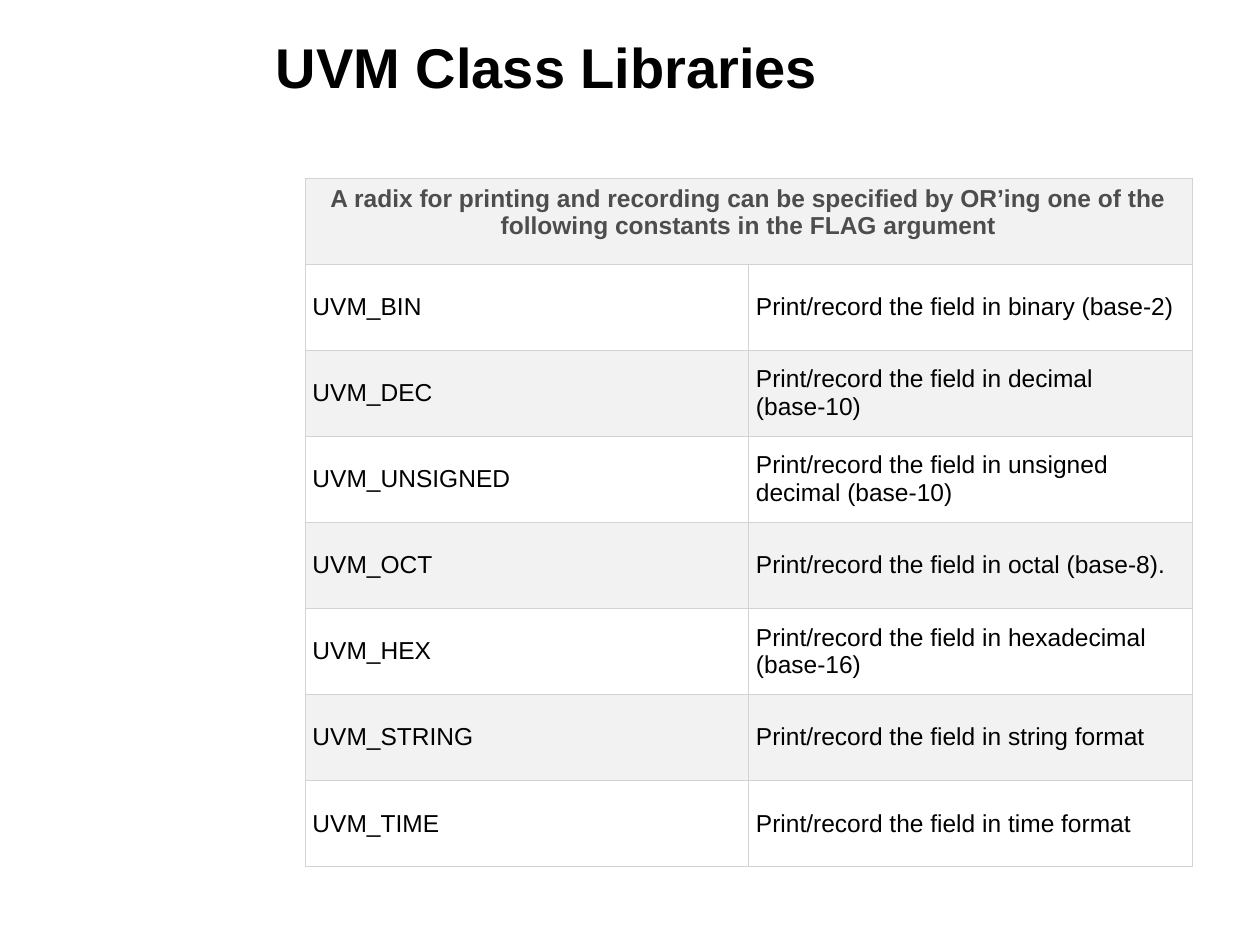
import pptx
import pptx.util
import pptx.dml.color
import pptx.enum.text
import lxml.etree
from pptx.oxml.ns import qn


def colour(value):
    return pptx.dml.color.RGBColor.from_string(value)


def style(para, size, value, bold):
    para.font.name = "Arial"
    para.font.size = pptx.util.Pt(size)
    para.font.bold = bold
    para.font.color.rgb = colour(value)


heading = "A radix for printing and recording can be specified by OR’ing one of the following constants in the FLAG argument"
constants = [
    ("UVM_BIN", "Print/record the field in binary (base-2)"),
    ("UVM_DEC", "Print/record the field in decimal (base-10)"),
    ("UVM_UNSIGNED", "Print/record the field in unsigned decimal (base-10)"),
    ("UVM_OCT", "Print/record the field in octal (base-8)."),
    ("UVM_HEX", "Print/record the field in hexadecimal (base-16)"),
    ("UVM_STRING", "Print/record the field in string format"),
    ("UVM_TIME", "Print/record the field in time format"),
]
rows = [(heading, "")] + constants
middle = pptx.enum.text.MSO_ANCHOR.MIDDLE

deck = pptx.Presentation()
deck.slide_width = pptx.util.Inches(10)
deck.slide_height = pptx.util.Inches(7.5)
page = deck.slides.add_slide(deck.slide_layouts[6])

box = page.shapes.add_textbox(
    pptx.util.Inches(2.09), pptx.util.Inches(0.13),
    pptx.util.Inches(7.72), pptx.util.Inches(0.79))
box.text_frame.word_wrap = True
box.text_frame.vertical_anchor = middle
box.text_frame.text = "UVM Class Libraries"
style(box.text_frame.paragraphs[0], 32, "000000", True)

column_width = pptx.util.Inches(3.52)
row_height = pptx.util.Inches(5.47 / len(rows))
table = page.shapes.add_table(
    len(rows), 2, pptx.util.Inches(2.42), pptx.util.Inches(1.41),
    2 * column_width, len(rows) * row_height).table
table.cell(0, 0).merge(table.cell(0, 1))

for row, texts in enumerate(rows):
    header = row == 0
    for column, text in enumerate(texts):
        cell = table.cell(row, column)
        properties = cell._tc.get_or_add_tcPr()
        for side in ("a:lnL", "a:lnR", "a:lnT", "a:lnB"):
            line = lxml.etree.SubElement(properties, qn(side), w=str(pptx.util.Pt(0.1)))
            fill = lxml.etree.SubElement(line, qn("a:solidFill"))
            lxml.etree.SubElement(fill, qn("a:srgbClr"), val="D3D3D3")
        cell.fill.solid()
        cell.fill.fore_color.rgb = colour("FFFFFF" if row % 2 else "F2F2F2")
        cell.margin_left = cell.margin_right = pptx.util.Inches(0.06)
        cell.margin_top = cell.margin_bottom = pptx.util.Inches(0.06)
        if cell.is_spanned:
            continue
        cell.text = text
        para = cell.text_frame.paragraphs[0]
        style(para, 14, "4D4D4D" if header else "000000", header)
        if header:
            para.alignment = pptx.enum.text.PP_ALIGN.CENTER
        else:
            cell.vertical_anchor = middle

deck.save("out.pptx")
